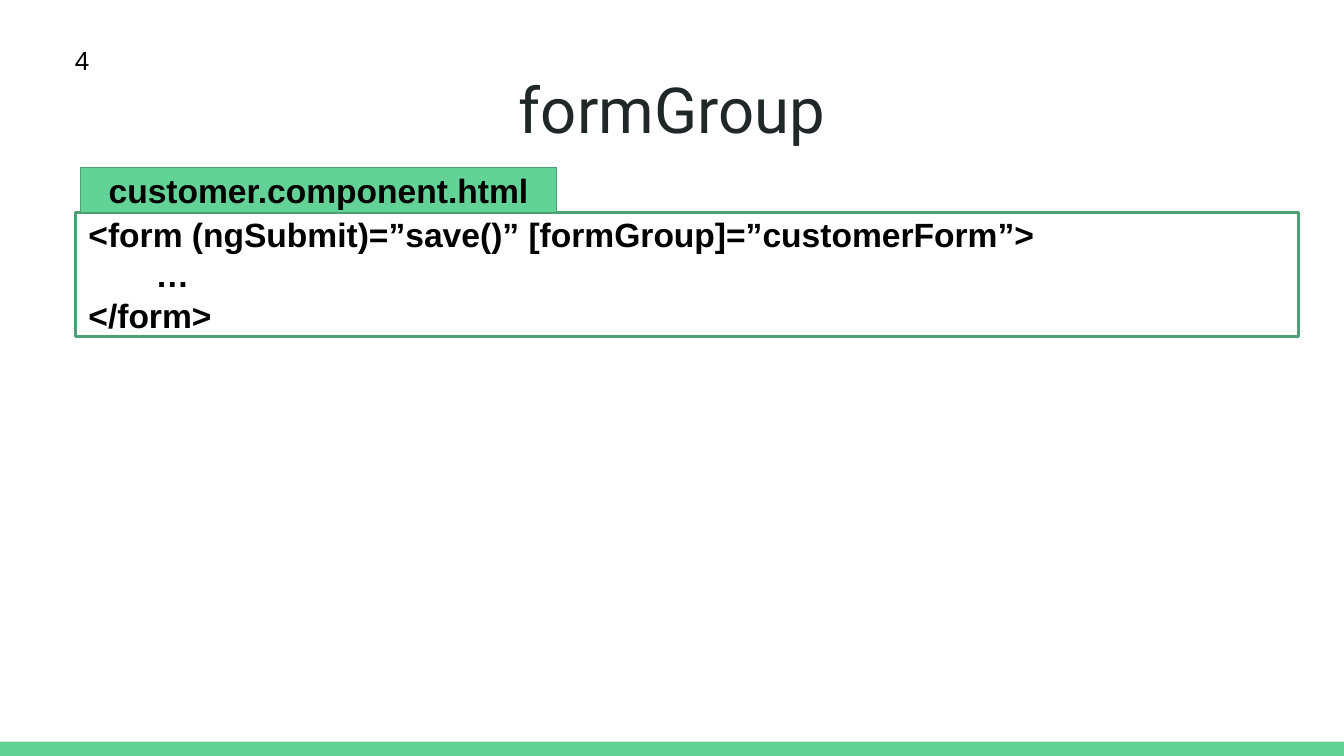
from dataclasses import dataclass
from typing import Optional

from pptx import Presentation
from pptx.dml.color import RGBColor
from pptx.enum.shapes import MSO_SHAPE
from pptx.enum.text import MSO_ANCHOR, PP_ALIGN
from pptx.util import Pt

RECTANGLE = MSO_SHAPE.RECTANGLE
TOP, MIDDLE = MSO_ANCHOR.TOP, MSO_ANCHOR.MIDDLE
LEFT, CENTER = PP_ALIGN.LEFT, PP_ALIGN.CENTER

GREEN = RGBColor(0x63, 0xD2, 0x97)
DARK_GREEN = RGBColor(0x4B, 0xA1, 0x73)
WHITE = RGBColor(0xFF, 0xFF, 0xFF)
BLACK = RGBColor(0x00, 0x00, 0x00)
CHARCOAL = RGBColor(0x20, 0x27, 0x29)

SLIDE_WIDTH, SLIDE_HEIGHT = 720, 405
INSET = 7.2


@dataclass(frozen=True)
class Line:
    text: str
    indent: float = 0


@dataclass(frozen=True)
class Box:
    """A block of text, with a filled rectangle behind it if fill is set."""
    left: float
    top: float
    width: float
    height: float
    lines: tuple[Line, ...] = ()
    size: float = 18
    font: str = "Arial"
    color: RGBColor = BLACK
    bold: bool = False
    align: PP_ALIGN = LEFT
    anchor: MSO_ANCHOR = MIDDLE
    fill: Optional[RGBColor] = None
    border: float = 0


FOOTER_BAR = Box(0, 397.4, SLIDE_WIDTH, 7.6, fill=GREEN)
TITLE = Box(24.5, 35.3, 671, 45.4, (Line("formGroup"),), size=34,
            font="Roboto", color=CHARCOAL, align=CENTER)
CODE = Box(40.3, 113.8, 655.2, 66.3,
           (Line("<form (ngSubmit)=”save()” [formGroup]=”customerForm”>"),
            Line("…", indent=36),
            Line("</form>")),
           bold=True, fill=WHITE, border=1.5)
FILE_TAB = Box(43.2, 89.8, 255, 24.2, (Line("customer.component.html"),),
               bold=True, align=CENTER, fill=GREEN, border=0.75)
PAGE_NUMBER = Box(33.1, 16.6, 404, 46.8, (Line("4"),), size=14, anchor=TOP)


def add_lines(shape, box: Box) -> None:
    frame = shape.text_frame
    frame.word_wrap = True
    frame.vertical_anchor = box.anchor
    frame.margin_left = frame.margin_right = Pt(INSET)
    frame.margin_top = frame.margin_bottom = Pt(INSET)
    for index, line in enumerate(box.lines):
        paragraph = frame.add_paragraph() if index else frame.paragraphs[0]
        paragraph.alignment = box.align
        if line.indent:
            properties = paragraph._p.get_or_add_pPr()
            properties.set("marL", "0")
            properties.set("indent", str(Pt(line.indent)))
        run = paragraph.add_run()
        run.text = line.text
        run.font.name = box.font
        run.font.size = Pt(box.size)
        run.font.bold = box.bold
        run.font.color.rgb = box.color


def add_box(slide, box: Box) -> None:
    area = [Pt(value) for value in (box.left, box.top, box.width, box.height)]
    if box.fill is None:
        shape = slide.shapes.add_textbox(*area)
    else:
        shape = slide.shapes.add_shape(RECTANGLE, *area)
        shape.shadow.inherit = False
        shape.fill.solid()
        shape.fill.fore_color.rgb = box.fill
        if box.border:
            shape.line.color.rgb = DARK_GREEN
            shape.line.width = Pt(box.border)
        else:
            shape.line.fill.background()
    if box.lines:
        add_lines(shape, box)


def main() -> None:
    presentation = Presentation()
    presentation.slide_width = Pt(SLIDE_WIDTH)
    presentation.slide_height = Pt(SLIDE_HEIGHT)
    slide = presentation.slides.add_slide(presentation.slide_layouts[6])

    # Background
    slide.background.fill.solid()
    slide.background.fill.fore_color.rgb = WHITE

    # Content, from back to front
    for box in (FOOTER_BAR, TITLE, CODE, FILE_TAB, PAGE_NUMBER):
        add_box(slide, box)

    presentation.save("out.pptx")


if __name__ == "__main__":
    main()
